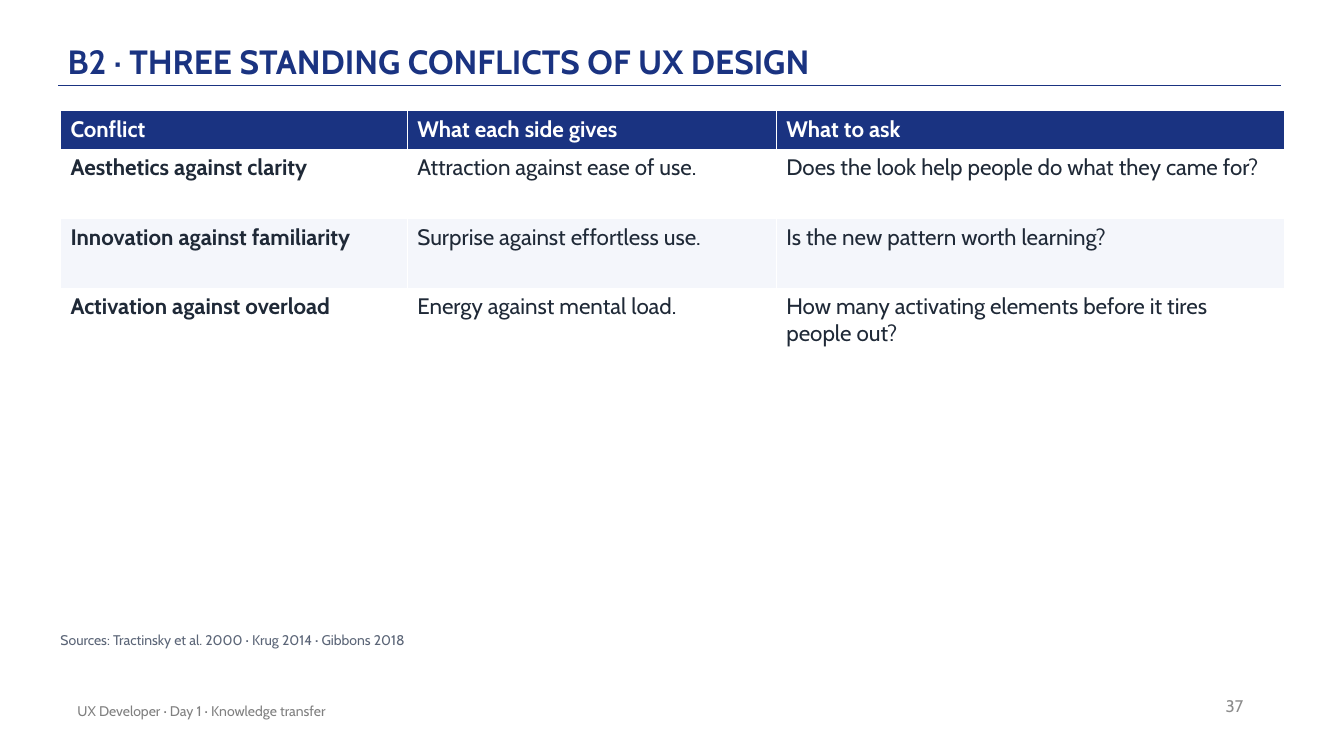
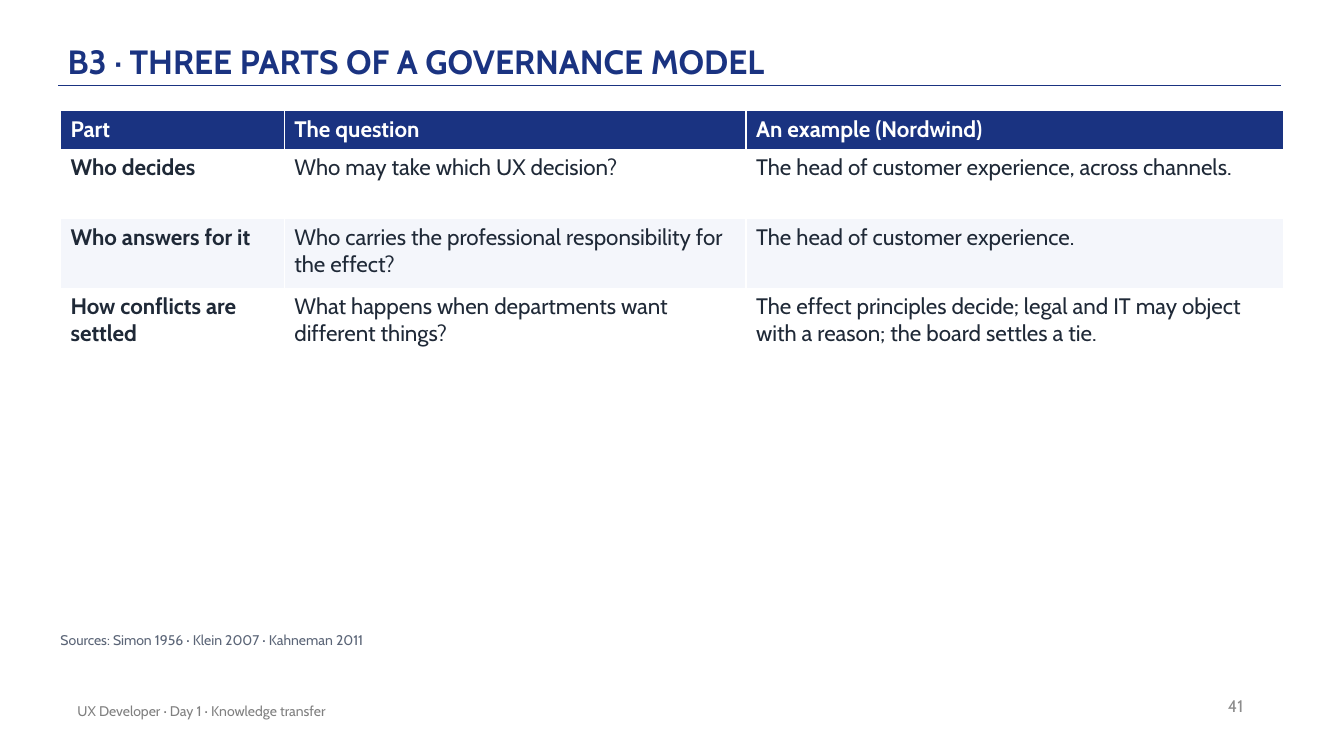
from dataclasses import dataclass

from lxml import etree
from pptx import Presentation
from pptx.dml.color import RGBColor
from pptx.enum import shapes, text
from pptx.oxml import ns
from pptx.util import Inches, Pt


@dataclass(frozen=True)
class Theme:
    font: str = "Cabin"
    navy: str = "1A3381"
    ink: str = "1F2937"
    white: str = "FFFFFF"
    stripe: str = "F4F6FB"
    source: str = "5B6577"
    footer: str = "808080"
    number: str = "8C8C8C"
    title_size: int = 24
    table_size: int = 16
    number_size: int = 12
    small_size: int = 10


THEME = Theme()
FOOTER = "UX Developer · Day 1 · Knowledge transfer"
HEADER_HEIGHT = 0.38

SLIDES = [
    {
        "title": "B2 · THREE STANDING CONFLICTS OF UX DESIGN",
        "number": "37",
        "columns": [3.44, 3.66, 5.04],
        "row_heights": [0.69, 0.69, 0.69],
        "rows": [
            ("Conflict", "What each side gives", "What to ask"),
            ("Aesthetics against clarity", "Attraction against ease of use.",
             "Does the look help people do what they came for?"),
            ("Innovation against familiarity", "Surprise against effortless use.",
             "Is the new pattern worth learning?"),
            ("Activation against overload", "Energy against mental load.",
             "How many activating elements before it tires people out?"),
        ],
        "sources": "Sources: Tractinsky et al. 2000 · Krug 2014 · Gibbons 2018",
    },
    {
        "title": "B3 · THREE PARTS OF A GOVERNANCE MODEL",
        "number": "41",
        "columns": [2.22, 4.58, 5.33],
        "row_heights": [0.69, 0.69, 0.96],
        "rows": [
            ("Part", "The question", "An example (Nordwind)"),
            ("Who decides", "Who may take which UX decision?",
             "The head of customer experience, across channels."),
            ("Who answers for it", "Who carries the professional responsibility for the effect?",
             "The head of customer experience."),
            ("How conflicts are settled", "What happens when departments want different things?",
             "The effect principles decide; legal and IT may object with a reason; "
             "the board settles a tie."),
        ],
        "sources": "Sources: Simon 1956 · Klein 2007 · Kahneman 2011",
    },
]


def write(frame, words, *, size, color, bold=False, align=text.PP_ALIGN.LEFT,
          anchor=None, margins=None, line_spacing=None, space_after=None, fit=None):
    frame.word_wrap = True
    if fit is not None:
        frame.auto_size = fit
    if anchor is not None:
        frame.vertical_anchor = anchor
    if margins is not None:
        side, edge = map(Inches, margins)
        frame.margin_left = frame.margin_right = side
        frame.margin_top = frame.margin_bottom = edge
    paragraph = frame.paragraphs[0]
    paragraph.alignment = align
    if line_spacing is not None:
        paragraph.line_spacing = line_spacing
    if space_after is not None:
        paragraph.space_after = Pt(space_after)
    run = paragraph.add_run()
    run.text = words
    run.font.name = THEME.font
    run.font.size = Pt(size)
    run.font.bold = bold
    run.font.color.rgb = RGBColor.from_string(color)


def add_words(slide, box, words, **style):
    write(slide.shapes.add_textbox(*map(Inches, box)).text_frame, words, **style)


def add_title(slide, words):
    title = slide.shapes.title
    title.left, title.top, title.width, title.height = map(Inches, (0.67, 0.12, 11, 0.72))
    write(title.text_frame, words, size=THEME.title_size, color=THEME.navy, bold=True,
          anchor=text.MSO_ANCHOR.BOTTOM, margins=(0, 0.03), line_spacing=0.9,
          fit=text.MSO_AUTO_SIZE.NONE)
    rule = slide.shapes.add_connector(shapes.MSO_CONNECTOR.STRAIGHT,
                                      *map(Inches, (0.58, 0.85, 12.71, 0.85)))
    rule.line.color.rgb = RGBColor.from_string(THEME.navy)
    rule.line.width = Pt(1)
    etree.SubElement(rule._element.spPr, ns.qn("a:effectLst"))


def add_footer(slide, number):
    add_words(slide, (9.43, 6.8, 3, 0.4), number, size=THEME.number_size, color=THEME.number,
              align=text.PP_ALIGN.RIGHT, anchor=text.MSO_ANCHOR.MIDDLE)
    add_words(slide, (0.67, 6.85, 6.7, 0.4), FOOTER, size=THEME.small_size, color=THEME.footer,
              anchor=text.MSO_ANCHOR.MIDDLE)


def add_grid(slide, rows, columns, row_heights):
    heights = [HEADER_HEIGHT, *row_heights]
    grid = slide.shapes.add_table(len(rows), len(columns), Inches(0.6), Inches(1.1),
                                  Inches(sum(columns)), Inches(sum(heights))).table
    for column, width in zip(grid.columns, columns):
        column.width = Inches(width)
    for r, (row, height) in enumerate(zip(rows, heights)):
        grid.rows[r].height = Inches(height)
        header = r == 0
        fill = THEME.navy if header else THEME.white if r % 2 else THEME.stripe
        for c, words in enumerate(row):
            cell = grid.cell(r, c)
            cell.fill.solid()
            cell.fill.fore_color.rgb = RGBColor.from_string(fill)
            write(cell.text_frame, words, size=THEME.table_size,
                  color=THEME.white if header else THEME.ink, bold=header or c == 0)


def main():
    deck = Presentation()
    deck.slide_width, deck.slide_height = Inches(13.33), Inches(7.5)
    for content in SLIDES:
        slide = deck.slides.add_slide(deck.slide_layouts.get_by_name("Title Only"))
        add_title(slide, content["title"])
        add_footer(slide, content["number"])
        add_grid(slide, content["rows"], content["columns"], content["row_heights"])
        add_words(slide, (0.6, 6.27, 12.1, 0.3), content["sources"], size=THEME.small_size,
                  color=THEME.source, margins=(0, 0), space_after=6,
                  fit=text.MSO_AUTO_SIZE.SHAPE_TO_FIT_TEXT)
    deck.save("out.pptx")


if __name__ == "__main__":
    main()
